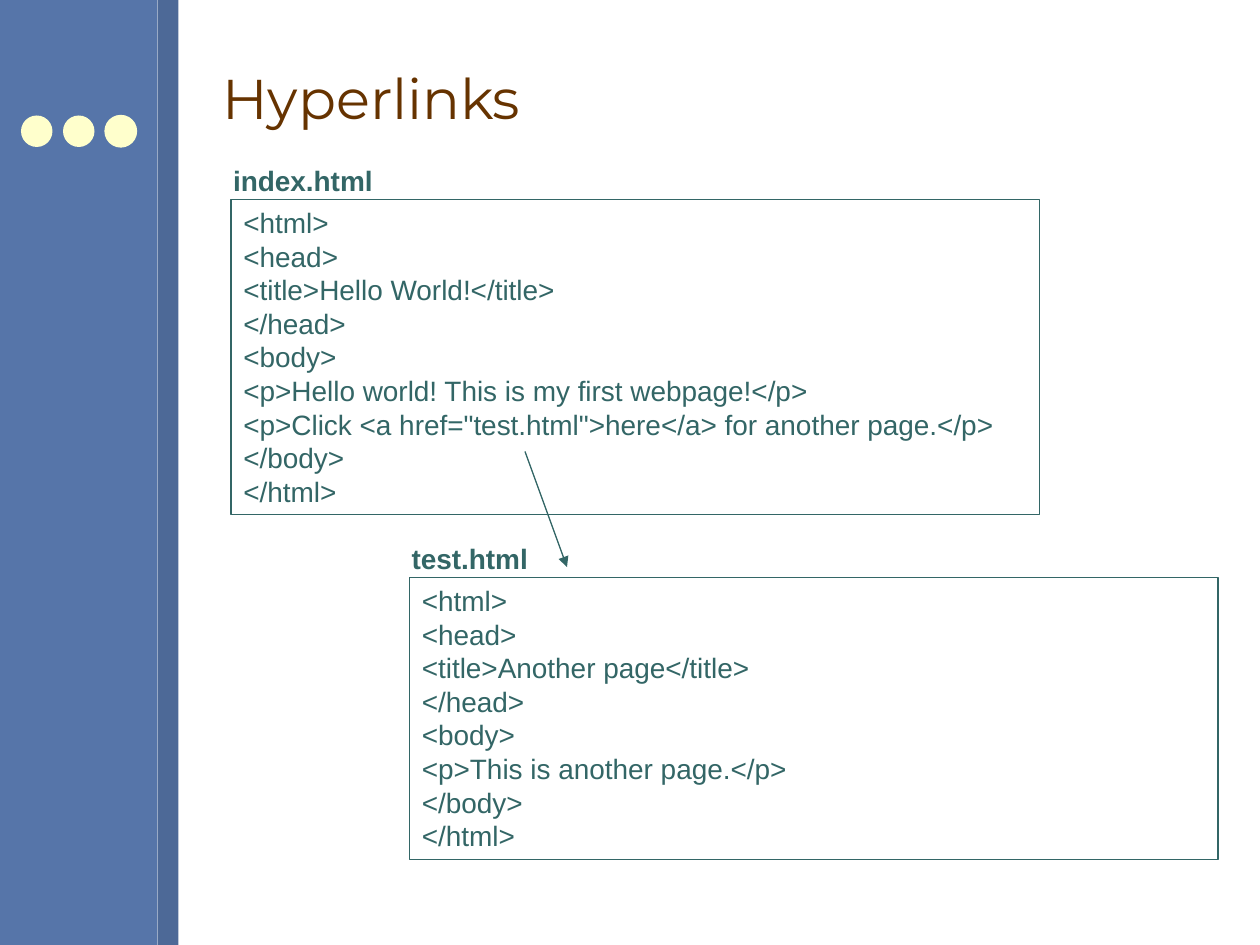
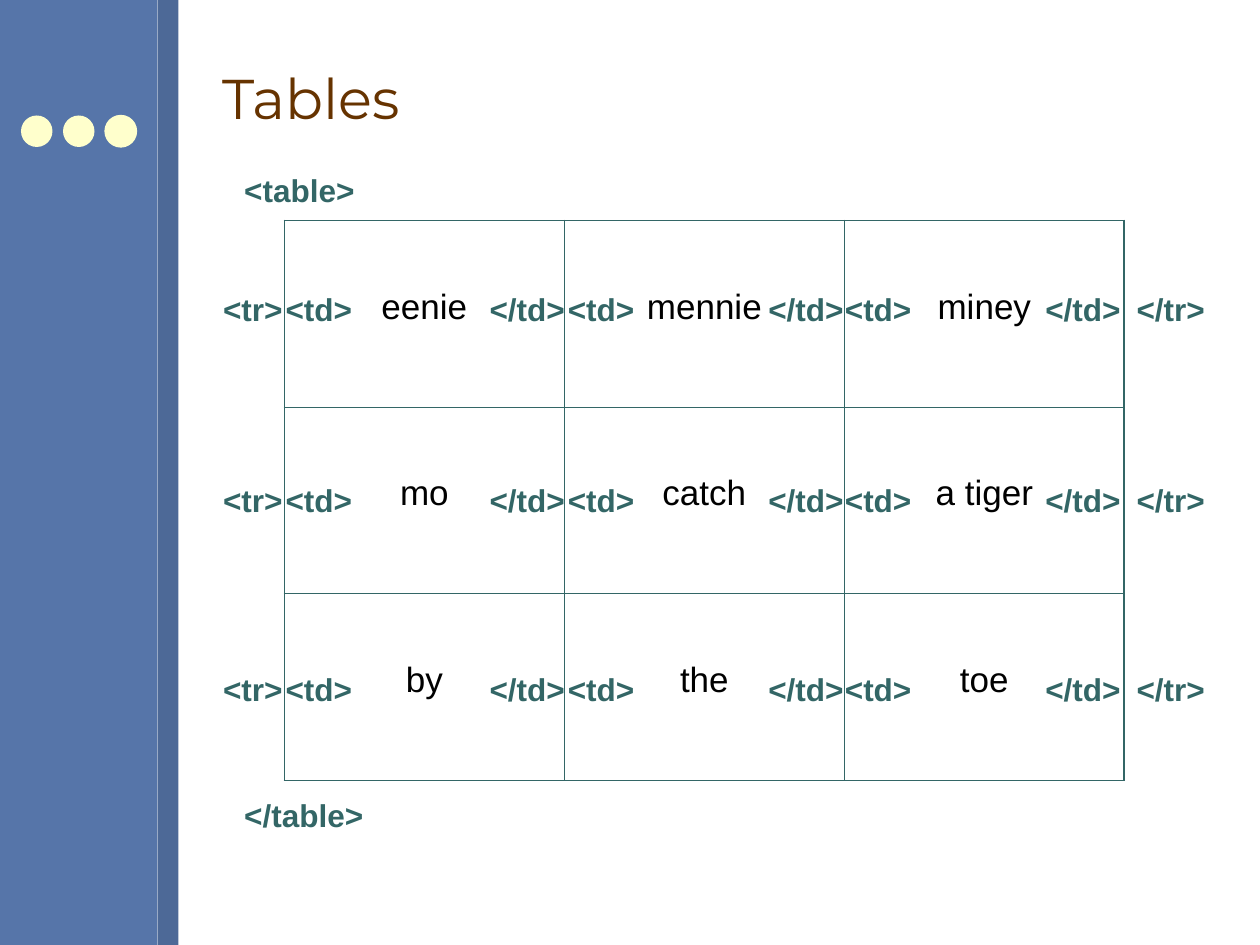
import dataclasses

import lxml.etree
import pptx
import pptx.dml.color
import pptx.enum.shapes
import pptx.enum.text
import pptx.oxml.ns
import pptx.util

Pt = pptx.util.Pt
Shape = pptx.enum.shapes.MSO_SHAPE
Anchor = pptx.enum.text.MSO_ANCHOR
Align = pptx.enum.text.PP_ALIGN
Fit = pptx.enum.text.MSO_AUTO_SIZE

TEAL, BROWN, CREAM, BLACK = "336666", "663300", "FFFFCC", "000000"
INSETS = {
    "margin_left": Pt(7.2),
    "margin_right": Pt(7.2),
    "margin_top": Pt(3.6),
    "margin_bottom": Pt(3.6),
}


@dataclasses.dataclass(frozen=True)
class Decoration:
    geometry: int
    left: float
    top: float
    width: float
    height: float
    color: str
    outlined: bool = False


@dataclasses.dataclass(frozen=True)
class TextStyle:
    font: str
    size: float
    color: str
    bold: bool = False


@dataclasses.dataclass(frozen=True)
class Label:
    text: str
    left: float
    top: float
    width: float
    height: float
    style: TextStyle


@dataclasses.dataclass(frozen=True)
class Listing:
    left: float
    top: float
    height: float
    code: str


TITLE = TextStyle("Montserrat", 32, BROWN)
CODE = TextStyle("Arial", 16, TEAL)
FILE_NAME = TextStyle("Arial", 16, TEAL, True)
TAG = TextStyle("Arial", 18, TEAL, True)
WORD = TextStyle("Arial", 20, BLACK)

SIDEBAR = [
    Decoration(Shape.RECTANGLE, 0, 0, 90, 540, "5675A9"),
    Decoration(Shape.RECTANGLE, 90, 0, 12, 540, "4D6997"),
    *(Decoration(Shape.OVAL, 12 + 24 * dot, 66, 18, 18, CREAM, dot == 2) for dot in range(3)),
]

INDEX_PAGE = """<html>
<head>
<title>Hello World!</title>
</head>
<body>
<p>Hello world! This is my first webpage!</p>
<p>Click <a href="test.html">here</a> for another page.</p>
</body>
</html>"""
TEST_PAGE = """<html>
<head>
<title>Another page</title>
</head>
<body>
<p>This is another page.</p>
</body>
</html>"""

LISTINGS = [Listing(132, 114, 180, INDEX_PAGE), Listing(234, 330, 161, TEST_PAGE)]
FILE_NAMES = [
    Label("index.html", 126.1, 90, 95, 26.6, FILE_NAME),
    Label("test.html", 228.1, 306, 81.4, 26.6, FILE_NAME),
]

RHYME = [["eenie", "mennie", "miney"], ["mo", "catch", "a tiger"], ["by", "the", "toe"]]
TABLE_LEFT, TABLE_TOP, COLUMN_WIDTH, ROW_HEIGHT = 162.5, 126, 160, 106.65
OUTER_BORDER, INNER_BORDER = 1.08, 0.45
TAG_TOPS = [162, 271.4, 379.4]
ROW_TAGS = [
    ("<tr>", 48.2, [120.4]),
    ("<td>", 52.8, [156.1, 317.4, 475.7]),
    ("</td>", 58, [272.7, 432, 590.3]),
    ("</tr>", 53.5, [642.4]),
]
TABLE_TAGS = [
    Label("<table>", 132.5, 94.3, 78, 28.8, TAG),
    Label("</table>", 132.5, 451.4, 83, 28.8, TAG),
    *(
        Label(text, left, top, width, 28.8, TAG)
        for top in TAG_TOPS
        for text, width, lefts in ROW_TAGS
        for left in lefts
    ),
]


def rgb(color: str) -> pptx.dml.color.RGBColor:
    return pptx.dml.color.RGBColor.from_string(color)


def apply(target: object, values: dict) -> None:
    for attribute, value in values.items():
        setattr(target, attribute, value)


def write(frame, text: str, style: TextStyle, align=Align.LEFT) -> None:
    frame.text = text
    for paragraph in frame.paragraphs:
        paragraph.alignment = align
        apply(paragraph.font, {"name": style.font, "size": Pt(style.size), "bold": style.bold})
        paragraph.font.color.rgb = rgb(style.color)


def draw_line(line, color: str) -> None:
    line.color.rgb = rgb(color)
    line.width = Pt(0.75)


def draw_decoration(slide, part: Decoration) -> None:
    shape = slide.shapes.add_shape(
        part.geometry, Pt(part.left), Pt(part.top), Pt(part.width), Pt(part.height)
    )
    shape.shadow.inherit = False
    shape.fill.solid()
    shape.fill.fore_color.rgb = rgb(part.color)
    if part.outlined:
        draw_line(shape.line, part.color)
    else:
        shape.line.fill.background()


def draw_label(slide, label: Label, **layout) -> None:
    box = slide.shapes.add_textbox(
        Pt(label.left), Pt(label.top), Pt(label.width), Pt(label.height)
    )
    write(box.text_frame, label.text, label.style)
    apply(box.text_frame, {**INSETS, "word_wrap": False, "auto_size": Fit.SHAPE_TO_FIT_TEXT, **layout})


def draw_listing(slide, listing: Listing) -> None:
    box = slide.shapes.add_shape(
        Shape.RECTANGLE, Pt(listing.left), Pt(listing.top), Pt(462), Pt(listing.height)
    )
    box.shadow.inherit = False
    box.fill.background()
    draw_line(box.line, TEAL)
    write(box.text_frame, listing.code, CODE)
    apply(box.text_frame, {**INSETS, "word_wrap": True, "vertical_anchor": Anchor.TOP})


def draw_link_arrow(slide) -> None:
    arrow = slide.shapes.add_connector(
        pptx.enum.shapes.MSO_CONNECTOR.STRAIGHT, Pt(300), Pt(258), Pt(324), Pt(324)
    )
    draw_line(arrow.line, TEAL)
    qn = pptx.oxml.ns.qn
    lxml.etree.SubElement(arrow.line._get_or_add_ln(), qn("a:tailEnd"), type="triangle")
    lxml.etree.SubElement(arrow._element.spPr, qn("a:effectLst"))


def draw_border(cell, side: str, width: float) -> None:
    qn = pptx.oxml.ns.qn
    border = lxml.etree.Element(qn(f"a:ln{side}"), w=str(int(Pt(width))))
    fill = lxml.etree.SubElement(border, qn("a:solidFill"))
    lxml.etree.SubElement(fill, qn("a:srgbClr"), val=TEAL)
    properties = cell._tc.get_or_add_tcPr()
    properties.insert(len(properties.findall("*")) - 1, border)


def draw_rhyme(slide) -> None:
    last = len(RHYME) - 1
    table = slide.shapes.add_table(
        len(RHYME), len(RHYME[0]), Pt(TABLE_LEFT), Pt(TABLE_TOP),
        Pt(COLUMN_WIDTH * len(RHYME[0])), Pt(ROW_HEIGHT * len(RHYME)),
    ).table
    apply(table, {"first_row": False, "horz_banding": False})
    for row, words in enumerate(RHYME):
        for column, word in enumerate(words):
            cell = table.cell(row, column)
            write(cell.text_frame, word, WORD, Align.CENTER)
            apply(cell, {**INSETS, "margin_top": Pt(38.3), "vertical_anchor": Anchor.TOP})
            cell.fill.background()
            edges = {"L": column == 0, "R": column == last, "T": row == 0, "B": row == last}
            for side, outer in edges.items():
                draw_border(cell, side, OUTER_BORDER if outer else INNER_BORDER)


def add_slide(deck, title: str):
    slide = deck.slides.add_slide(deck.slide_layouts[6])
    for part in SIDEBAR:
        draw_decoration(slide, part)
    draw_label(
        slide, Label(title, 120, 15, 576, 81.4, TITLE),
        word_wrap=True, auto_size=Fit.NONE, vertical_anchor=Anchor.MIDDLE,
    )
    return slide


def main() -> None:
    deck = pptx.Presentation()
    apply(deck, {"slide_width": Pt(720), "slide_height": Pt(540)})

    hyperlinks = add_slide(deck, "Hyperlinks")
    for listing in LISTINGS:
        draw_listing(hyperlinks, listing)
    for file_name in FILE_NAMES:
        draw_label(hyperlinks, file_name)
    draw_link_arrow(hyperlinks)

    tables = add_slide(deck, "Tables")
    draw_rhyme(tables)
    for tag in TABLE_TAGS:
        draw_label(tables, tag)

    deck.save("out.pptx")


if __name__ == "__main__":
    main()
